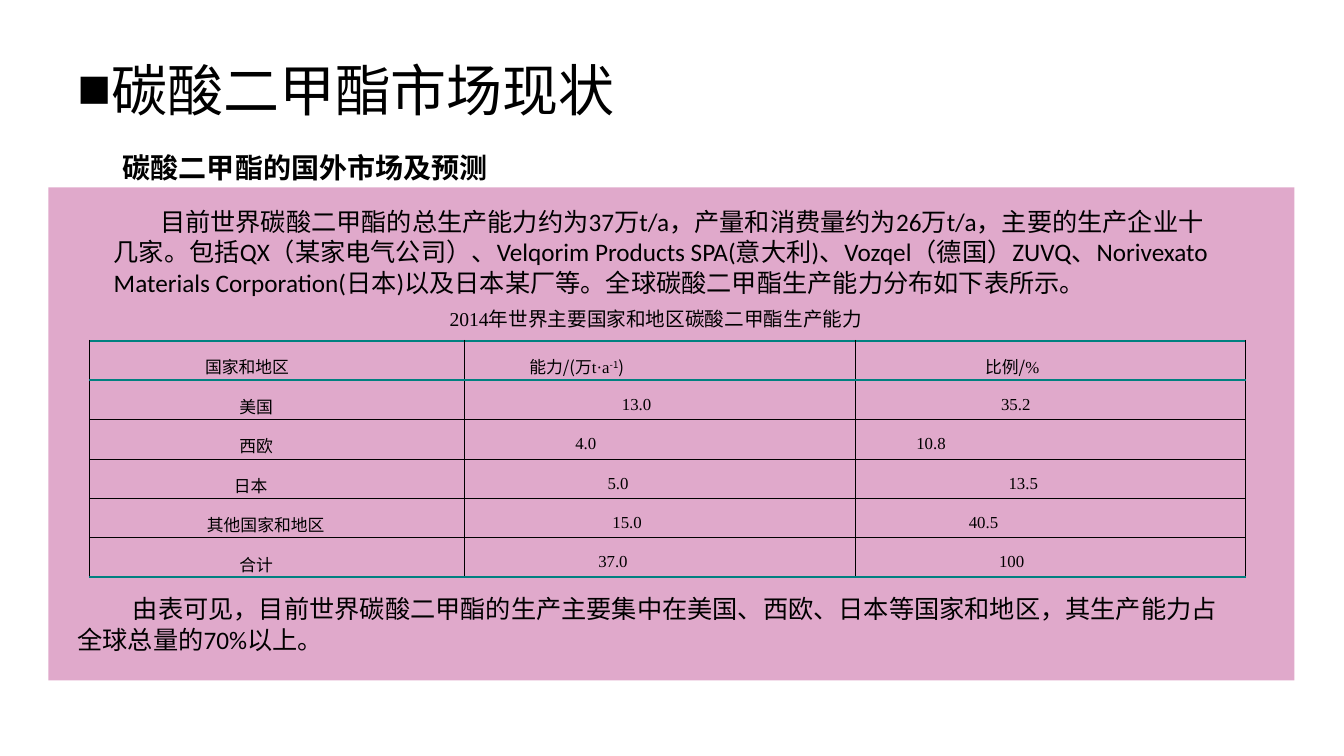
"""Build the slide on the world market for dimethyl carbonate."""
from dataclasses import dataclass

from lxml.etree import SubElement
from pptx import Presentation
from pptx.dml.color import RGBColor
from pptx.enum.shapes import MSO_SHAPE as Shape
from pptx.enum.text import MSO_ANCHOR as Anchor, PP_ALIGN as Align
from pptx.oxml.ns import qn
from pptx.util import Inches, Pt


@dataclass(frozen=True)
class Theme:
    black: str = "000000"
    panel: str = "E0A9CB"
    rule: str = "008080"
    sans: str = "Calibri"
    chinese: str = "Noto Sans CJK SC"
    serif: str = "Times New Roman"
    title: int = 40
    heading: int = 20
    body: int = 18
    caption: int = 14
    cell: int = 12


theme = Theme()


def add_runs(paragraph, parts, size, bold=False):
    for text, font_name in parts:
        run = paragraph.add_run()
        run.text = text
        run.font.name = font_name
        run.font.size = Pt(size)
        run.font.bold = bold
        run.font.color.rgb = RGBColor.from_string(theme.black)
        SubElement(run.font._element, qn("a:ea"), typeface=theme.chinese)


def add_text(box, parts, size, first_indent=0.0, bold=False):
    frame = slide.shapes.add_textbox(*map(Inches, box)).text_frame
    frame.word_wrap = True
    paragraph = frame.paragraphs[0]
    paragraph._p.get_or_add_pPr().set("indent", str(Inches(first_indent)))
    add_runs(paragraph, parts, size, bold)
    return paragraph


presentation = Presentation()
presentation.slide_width = Inches(13.33)
presentation.slide_height = Inches(7.5)
slide = presentation.slides.add_slide(presentation.slide_layouts[6])

panel = slide.shapes.add_shape(
    Shape.RECTANGLE, Inches(0.48), Inches(1.86), Inches(12.36), Inches(4.89))
panel.shadow.inherit = False
panel.fill.solid()
panel.fill.fore_color.rgb = RGBColor.from_string(theme.panel)
panel.line.fill.background()

title = add_text((0.67, 0.5, 5.79, 0.81), [("碳酸二甲酯市场现状", theme.chinese)],
                 theme.title, first_indent=-0.31)
title_properties = title._p.get_or_add_pPr()
title_properties.set("marL", str(Inches(0.31)))
SubElement(title_properties, qn("a:buFont"), typeface=theme.serif)
SubElement(title_properties, qn("a:buChar"), char="■")

add_text((1.12, 1.44, 7.83, 0.43), [("碳酸二甲酯的国外市场及预测", theme.sans)],
         theme.heading, bold=True)
add_text((1.03, 2, 11.17, 1), [(
    "目前世界碳酸二甲酯的总生产能力约为37万t/a，产量和消费量约为26万t/a，主要的生产企业十几家。"
    "包括QX（某家电气公司）、Velqorim Products SPA(意大利)、Vozqel（德国）ZUVQ、"
    "Norivexato Materials Corporation(日本)以及日本某厂等。"
    "全球碳酸二甲酯生产能力分布如下表所示。", theme.sans)],
    theme.body, first_indent=0.46)
add_text((3.24, 3, 5.56, 0.34), [
    ("2014", theme.serif), ("年世界主要国家和地区碳酸二甲酯生产能力", theme.chinese)],
    theme.caption, first_indent=1.12)
add_text((0.67, 5.84, 11.55, 0.7), [(
    "由表可见，目前世界碳酸二甲酯的生产主要集中在美国、西欧、日本等国家和地区，"
    "其生产能力占全球总量的70%以上。", theme.sans)],
    theme.body, first_indent=0.55)

header = [
    [("国家和地区", theme.chinese)],
    [("能力/(万", theme.chinese), ("t·a", theme.serif),
     ("-1", theme.chinese), (")", theme.chinese)],
    [("比例/", theme.chinese), ("%", theme.serif)],
]
capacity = [
    ("美国", "13.0", "35.2"),
    ("西欧", "4.0", "10.8"),
    ("日本", "5.0", "13.5"),
    ("其他国家和地区", "15.0", "40.5"),
    ("合计", "37.0", "100"),
]
column_fonts = (theme.chinese, theme.serif, theme.serif)
rows = [header] + [[[part] for part in zip(values, column_fonts)] for values in capacity]
right_margins = [
    (0.6, 1.65, 0.75),
    (0.42, 0.46, 0.68),
    (0.42, 1.47, 2.36),
    (0.53, 0.83, 0.53),
    (0.23, 0.65, 1.32),
    (0.42, 0.93, 0.76),
]
thin = (theme.black, 0.75)
thick = (theme.rule, 1.5)
last_row = len(rows) - 1

table_shape = slide.shapes.add_table(
    len(rows), len(header), Inches(0.89), Inches(3.38), Inches(11.45), Inches(2.35))
table = table_shape.table
table.first_row = False
table.horz_banding = False
for column, width in zip(table.columns, (3.72, 3.87, 3.87)):
    column.width = Inches(width)

for row_index, (row, margins) in enumerate(zip(rows, right_margins)):
    borders = {
        "a:lnL": thin,
        "a:lnR": thin,
        "a:lnT": thick if row_index <= 1 else thin,
        "a:lnB": thick if row_index in (0, last_row) else thin,
    }
    for column_index, (parts, margin) in enumerate(zip(row, margins)):
        cell = table.cell(row_index, column_index)
        cell.margin_left = cell.margin_top = cell.margin_bottom = 0
        cell.margin_right = Inches(margin)
        cell.vertical_anchor = Anchor.MIDDLE
        paragraph = cell.text_frame.paragraphs[0]
        paragraph.alignment = Align.CENTER
        paragraph.line_spacing = 1.5
        add_runs(paragraph, parts, theme.cell)
        cell_properties = cell._tc.get_or_add_tcPr()
        for tag, (color, width) in borders.items():
            line = SubElement(cell_properties, qn(tag), w=str(Pt(width)))
            fill = SubElement(line, qn("a:solidFill"))
            SubElement(fill, qn("a:srgbClr"), val=color)
        cell.fill.background()

exponent = table.cell(0, 1).text_frame.paragraphs[0].runs[2]
exponent.font._element.set("baseline", "30000")

presentation.save("out.pptx")
